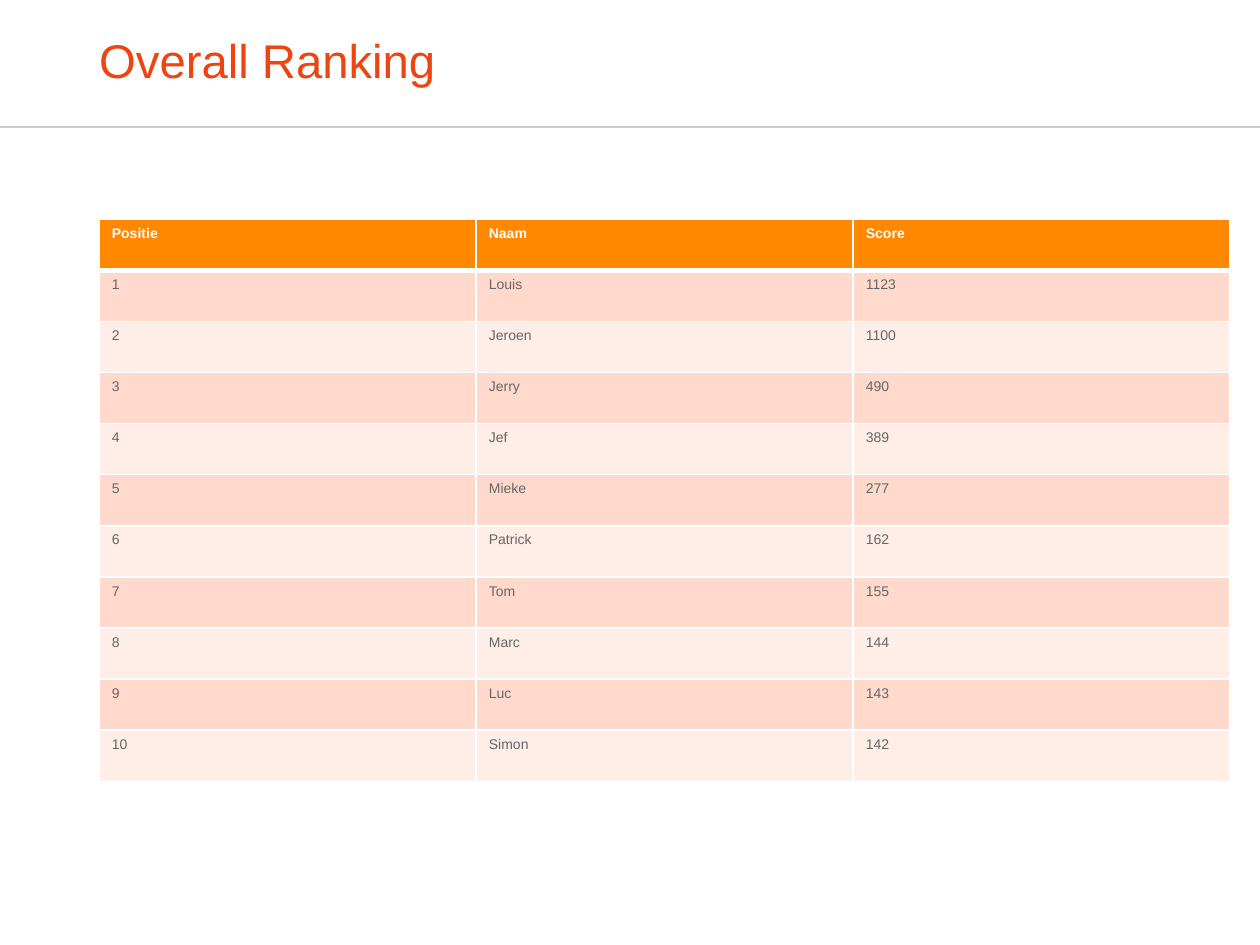
from lxml.etree import SubElement
from pptx import Presentation
from pptx.dml.color import RGBColor
from pptx.enum.shapes import MSO_CONNECTOR
from pptx.enum.text import MSO_ANCHOR, PP_ALIGN
from pptx.oxml import parse_xml
from pptx.oxml.ns import nsdecls, qn
from pptx.util import Cm, Pt

COLORS = {
    "title": "EE4411", "rule": "CCCCCC", "header": "FF8800", "white": "FFFFFF",
    "odd": "FFDACC", "even": "FFEDE7", "body": "666666",
}
FONT = "Arial"
HEADINGS = ("Positie", "Naam", "Score")
RANKING = [
    ("Louis", 1123), ("Jeroen", 1100), ("Jerry", 490), ("Jef", 389),
    ("Mieke", 277), ("Patrick", 162), ("Tom", 155), ("Marc", 144),
    ("Luc", 143), ("Simon", 142),
]


def color(name):
    return RGBColor.from_string(COLORS[name])


def add_span(para, text, size, color_name, bold=False):
    span = para.add_run()
    span.text = text
    span.font.name = FONT
    span.font.size = Pt(size)
    span.font.bold = bold
    span.font.color.rgb = color(color_name)


def set_borders(cell, top=1, bottom=1):
    properties = cell._tc.get_or_add_tcPr()
    widths = (("lnL", 1), ("lnR", 1), ("lnT", top), ("lnB", bottom))
    for position, (side, width) in enumerate(widths):
        border = parse_xml(
            f'<a:{side} {nsdecls("a")} w="{Pt(width)}"><a:solidFill>'
            f'<a:srgbClr val="{COLORS["white"]}"/></a:solidFill></a:{side}>')
        properties.insert(position, border)


def add_heading(page, left, width, height):
    # Rule across the page below the title
    rule = page.shapes.add_connector(
        MSO_CONNECTOR.STRAIGHT, 0, height, deck.slide_width, height)
    rule.line.color.rgb = color("rule")
    rule.line.width = Pt(1)
    SubElement(rule._element.spPr, qn("a:effectLst"))

    # Title
    title = page.shapes.title
    title.left, title.top, title.width, title.height = left, 0, width, height
    frame = title.text_frame
    frame.margin_left = frame.margin_right = 0
    frame.margin_top = frame.margin_bottom = 0
    frame.vertical_anchor = MSO_ANCHOR.MIDDLE
    para = frame.paragraphs[0]
    para.alignment = PP_ALIGN.LEFT
    para.line_spacing = 0.9
    add_span(para, "Overall Ranking", 27, "title")


def add_ranking(page, left, top, width, height):
    rows = [HEADINGS] + [
        (place, name, score)
        for place, (name, score) in enumerate(RANKING, start=1)]
    table = page.shapes.add_table(
        len(rows), len(HEADINGS), left, top, width, height).table
    for row_index, values in enumerate(rows):
        is_header = row_index == 0
        fill = "header" if is_header else ("even", "odd")[row_index % 2]
        for column_index, value in enumerate(values):
            cell = table.cell(row_index, column_index)
            cell.fill.solid()
            cell.fill.fore_color.rgb = color(fill)
            # Thick line between the header and the first place
            set_borders(cell, top=3 if row_index == 1 else 1,
                        bottom=3 if is_header else 1)
            add_span(cell.text_frame.paragraphs[0], str(value), 8,
                     "white" if is_header else "body", bold=is_header)


deck = Presentation()
deck.slide_width, deck.slide_height = Cm(25.4), Cm(19.05)
page = deck.slides.add_slide(deck.slide_layouts[5])
add_heading(page, Cm(2), Cm(21.4), Cm(2.56))
add_ranking(page, Cm(2), Cm(4.42), Cm(22.8), Cm(11.33))
deck.save("out.pptx")
